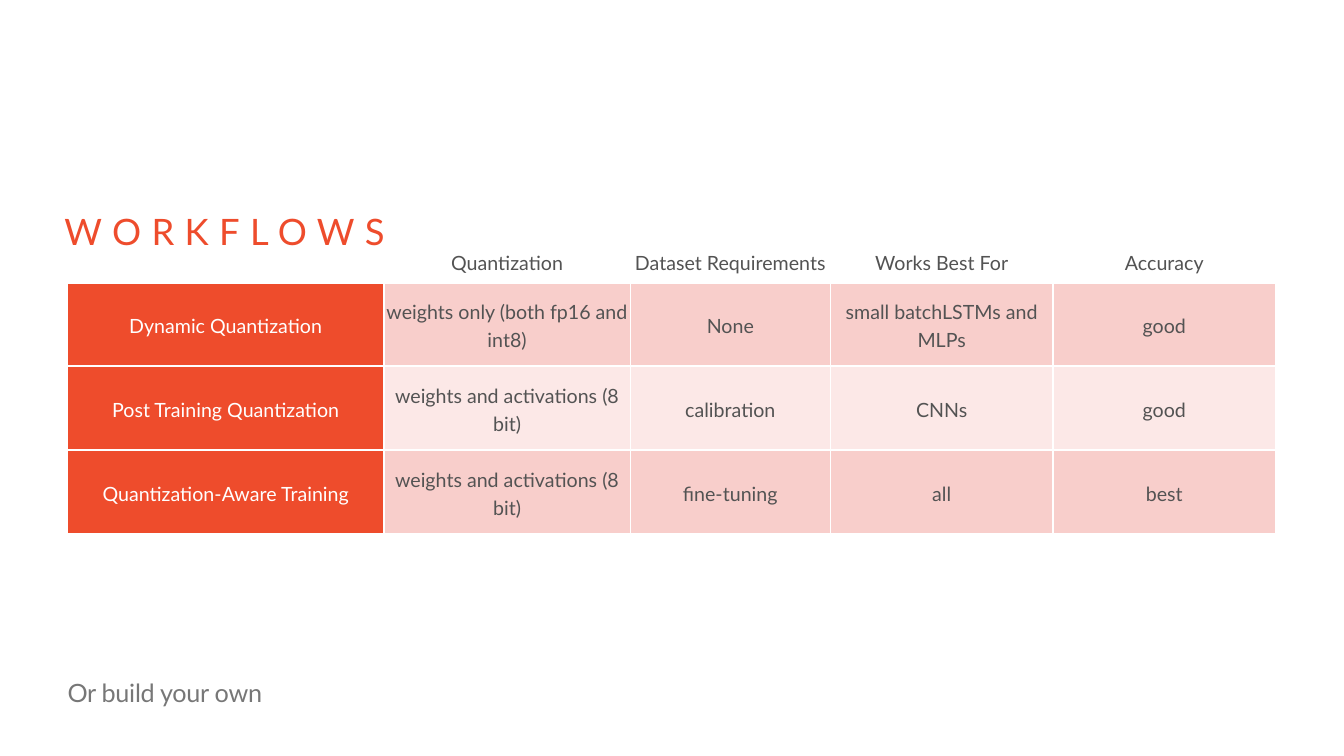
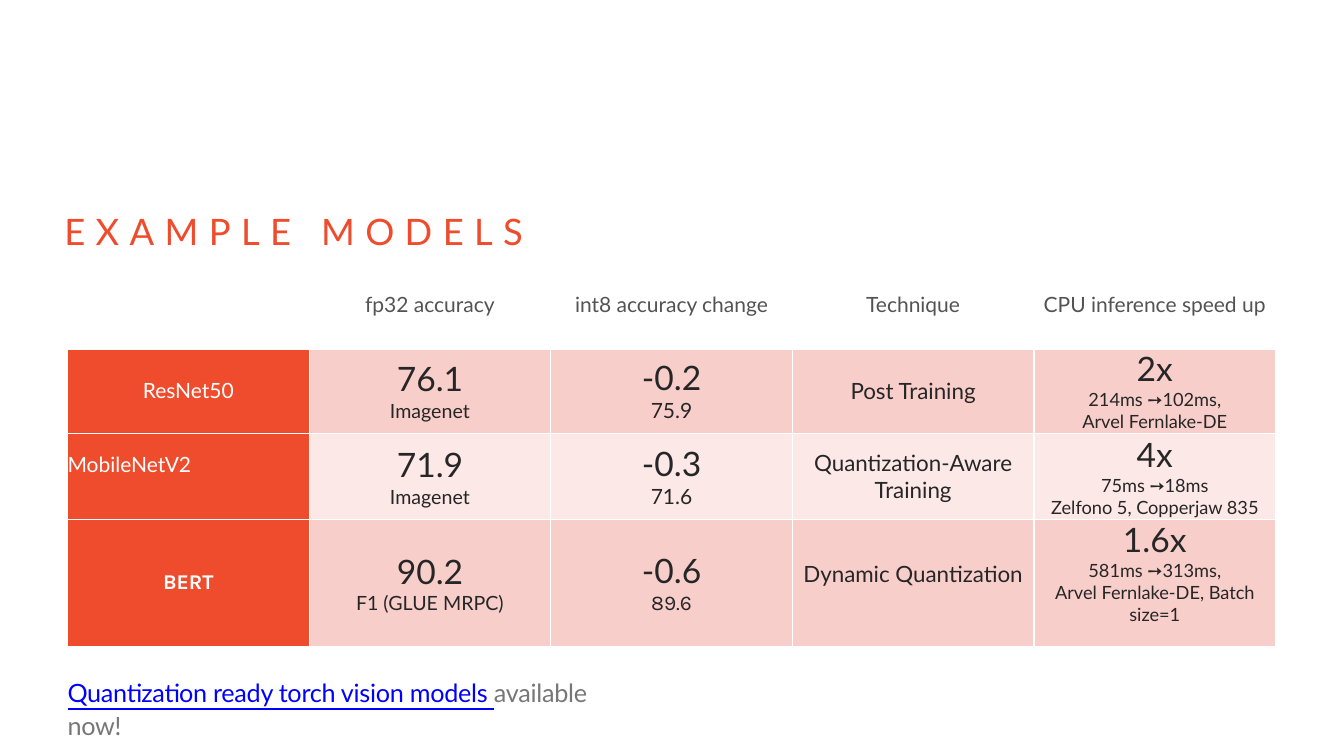
from dataclasses import dataclass

from lxml import etree
from pptx import Presentation
from pptx.dml.color import RGBColor
from pptx.enum.text import MSO_ANCHOR, MSO_AUTO_SIZE, PP_ALIGN
from pptx.oxml.ns import qn
from pptx.util import Pt

LEFT, CENTER = PP_ALIGN.LEFT, PP_ALIGN.CENTER
MIDDLE, TOP = MSO_ANCHOR.MIDDLE, MSO_ANCHOR.TOP
FIT_SHAPE = MSO_AUTO_SIZE.SHAPE_TO_FIT_TEXT
BLANK_LAYOUT = 6


# Colours, fonts and type sizes
@dataclass(frozen=True)
class Theme:
    accent: str = "EE4C2C"
    band_dark: str = "F8CECB"
    band_light: str = "FCE8E7"
    white: str = "FFFFFF"
    heading: str = "535353"
    ink: str = "262626"
    muted: str = "777777"
    link: str = "0000FF"
    font: str = "Lato"
    label_font: str = "Karla"
    title_size: int = 26
    footer_size: int = 18
    value_size: int = 24


THEME = Theme()
TABLE_LEFT = 48.24
NO_MARGINS = {"margin_left": 0, "margin_right": 0, "margin_top": 0, "margin_bottom": 0}


# Settings of one table
@dataclass(frozen=True)
class TableStyle:
    heading_size: int
    body_size: int
    body_color: str
    line_spacing: float = 1.0
    note_sizes: tuple = ()


WORKFLOW_STYLE = TableStyle(14, 14, THEME.heading, line_spacing=1.2)
MODEL_STYLE = TableStyle(15, 16, THEME.ink, note_sizes=(15, 14, 15, 16, 13))

WORKFLOW_ROWS = [
    ["", "Quantization", "Dataset Requirements", "Works Best For", "Accuracy"],
    ["Dynamic Quantization", "weights only (both fp16 and int8)", "None",
     "small batchLSTMs and MLPs", "good"],
    ["Post Training Quantization", "weights and activations (8 bit)",
     "calibration", "CNNs", "good"],
    ["Quantization-Aware Training", "weights and activations (8 bit)",
     "fine-tuning", "all", "best"],
]

# A line break parts a large value from its notes
MODEL_ROWS = [
    ["", "fp32 accuracy", "int8 accuracy change", "Technique", "CPU inference speed up"],
    ["ResNet50", "76.1\nImagenet", "-0.2\n75.9", "Post Training",
     "2x\n214ms ➙102ms,\nArvel Fernlake-DE"],
    ["MobileNetV2", "71.9\nImagenet", "-0.3\n71.6", "Quantization-Aware Training",
     "4x\n75ms ➙18ms\nZelfono 5, Copperjaw 835"],
    ["BERT", "90.2\nF1 (GLUE MRPC)", "-0.6\n89.6", "Dynamic Quantization",
     "1.6x\n581ms ➙313ms,\nArvel Fernlake-DE, Batch size=1"],
]

# Cells that depart from the table style, by row and column
MODEL_EXCEPTIONS = {
    (2, 0): {"alignment": LEFT, "margin_bottom": 17},
    (3, 0): {"name": THEME.label_font, "bold": True},
    (3, 2): {"note_name": THEME.label_font},
    (3, 3): {"margin_bottom": 13},
    (3, 4): {"margin_bottom": 15.6},
}


def apply_formats(target, formats):
    for name, value in formats.items():
        setattr(target, name, value)


def add_run(paragraph, text, size, color, name=THEME.font, bold=False,
            underline=False, spacing=0):
    run = paragraph.add_run()
    run.text = text
    apply_formats(run.font, {"size": Pt(size), "name": name, "bold": bold,
                             "underline": underline})
    run.font.color.rgb = RGBColor.from_string(color)
    if spacing:
        run.font._element.set("spc", str(round(spacing * 100)))


def add_text(slide, left, top, width, height, runs, line_spacing):
    shape = slide.shapes.add_textbox(Pt(left), Pt(top), Pt(width), Pt(height))
    frame = shape.text_frame
    apply_formats(frame, {**NO_MARGINS, "word_wrap": True, "auto_size": FIT_SHAPE,
                          "vertical_anchor": TOP})
    paragraph = frame.paragraphs[0]
    paragraph.line_spacing = line_spacing
    for run in runs:
        add_run(paragraph, **run)


def add_title(slide, text):
    add_text(slide, 46, 139.7, 621, 26.6,
             [{"text": text, "size": THEME.title_size, "color": THEME.accent,
               "spacing": 7.4}], 1.3)


def add_footer(slide, *parts):
    shared = {"size": THEME.footer_size, "spacing": -0.2}
    add_text(slide, TABLE_LEFT, 481.7, 412, 19,
             [{**shared, **part} for part in parts], 1.1)


def set_borders(cell, bottom):
    properties = cell._tc.get_or_add_tcPr()
    for side, width in {"L": 1, "R": 1, "T": 1, "B": bottom}.items():
        line = etree.SubElement(properties, qn(f"a:ln{side}"), w=str(Pt(width)))
        fill = etree.SubElement(line, qn("a:solidFill"))
        etree.SubElement(fill, qn("a:srgbClr"), val=THEME.white)


def write_cell(cell, text, row, column, style, exception):
    apply_formats(cell, {**NO_MARGINS, "vertical_anchor": MIDDLE,
                         "margin_bottom": Pt(exception.get("margin_bottom", 0))})
    is_heading = row == 0 or column == 0
    color = (THEME.heading if row == 0 else
             THEME.white if column == 0 else style.body_color)
    lines = text.split("\n") if text else []
    for index, line in enumerate(lines):
        frame = cell.text_frame
        paragraph = frame.add_paragraph() if index else frame.paragraphs[0]
        apply_formats(paragraph, {"alignment": exception.get("alignment", CENTER),
                                  "line_spacing": style.line_spacing})
        size = style.heading_size if is_heading else style.body_size
        if len(lines) > 1:
            size = style.note_sizes[column] if index else THEME.value_size
        name = exception.get("note_name" if index else "name", THEME.font)
        add_run(paragraph, line, size, color, name, exception.get("bold", False))


def fill_cell(cell, row, column):
    if row == 0:
        cell.fill.background()
        return
    band = THEME.band_dark if row % 2 else THEME.band_light
    cell.fill.solid()
    cell.fill.fore_color.rgb = RGBColor.from_string(band if column else THEME.accent)


def add_data_table(slide, top, widths, heights, rows, style, exceptions):
    shape = slide.shapes.add_table(len(rows), len(widths), Pt(TABLE_LEFT), Pt(top),
                                   Pt(sum(widths)), Pt(sum(heights)))
    table = shape.table
    apply_formats(table, {"first_row": False, "horz_banding": False})
    for table_column, width in zip(table.columns, widths):
        table_column.width = Pt(width)
    for table_row, height in zip(table.rows, heights):
        table_row.height = Pt(height)
    for row, texts in enumerate(rows):
        for column, text in enumerate(texts):
            cell = table.cell(row, column)
            set_borders(cell, bottom=1 if row else 3)
            fill_cell(cell, row, column)
            write_cell(cell, text, row, column, style,
                       exceptions.get((row, column), {}))


def build_workflows(slide):
    add_data_table(slide, 171.4, [226, 176, 143, 159, 159], [30] + [60] * 3,
                   WORKFLOW_ROWS, WORKFLOW_STYLE, {})
    add_title(slide, "WORKFLOWS")
    add_footer(slide, {"text": "Or build your own", "color": THEME.muted})


def build_models(slide):
    add_data_table(slide, 187.2, [172.6] * 5, [61.2] * 3 + [75.6],
                   MODEL_ROWS, MODEL_STYLE, MODEL_EXCEPTIONS)
    add_title(slide, "EXAMPLE MODELS")
    add_footer(slide,
               {"text": "Quantization ready torch vision models ",
                "color": THEME.link, "underline": True},
               {"text": "available now!", "color": THEME.muted})


def main():
    presentation = Presentation()
    apply_formats(presentation, {"slide_width": Pt(960), "slide_height": Pt(540)})
    for build in (build_workflows, build_models):
        build(presentation.slides.add_slide(presentation.slide_layouts[BLANK_LAYOUT]))
    presentation.save("out.pptx")


if __name__ == "__main__":
    main()
